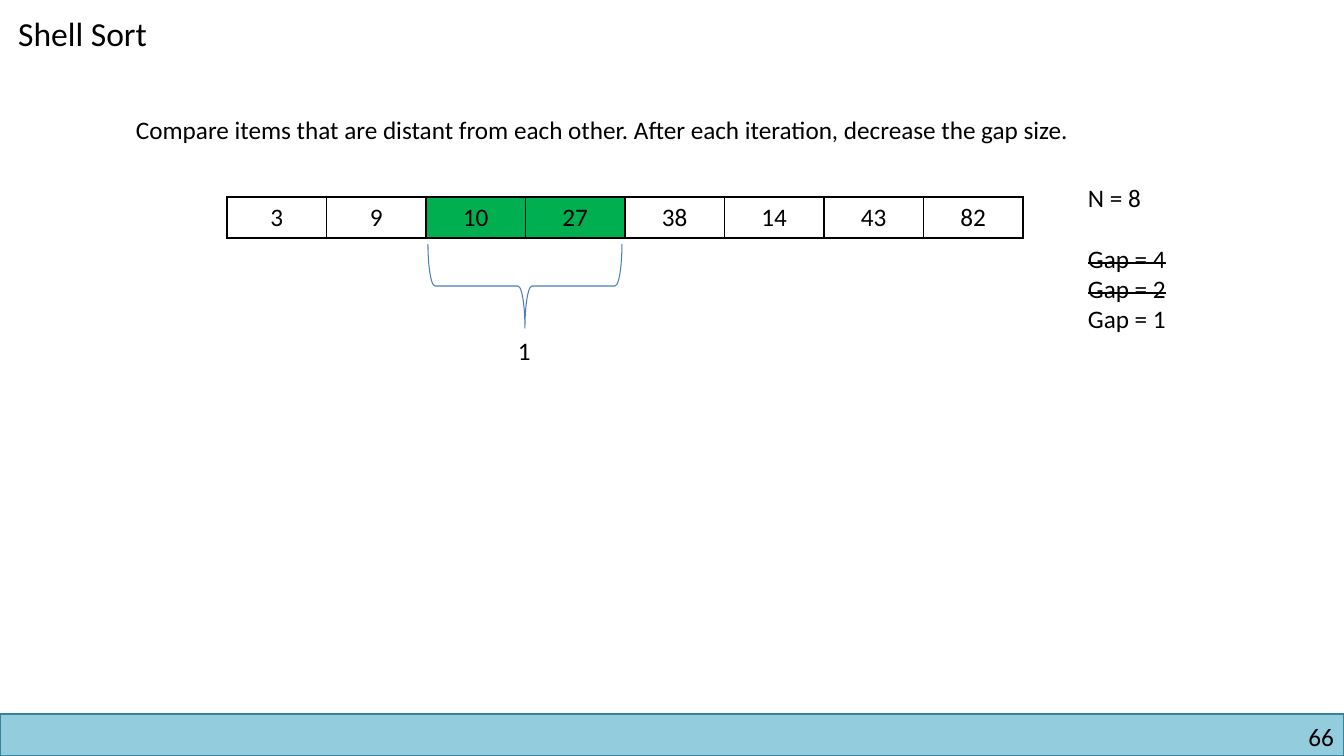
import pptx
import pptx.util
import pptx.dml.color
import pptx.enum.shapes
import pptx.enum.text
import pptx.oxml
import pptx.oxml.ns

BLACK = pptx.dml.color.RGBColor(0x00, 0x00, 0x00)
WHITE = pptx.dml.color.RGBColor(0xFF, 0xFF, 0xFF)
GREEN = pptx.dml.color.RGBColor(0x00, 0xB0, 0x50)
BAND_BLUE = pptx.dml.color.RGBColor(0x93, 0xCD, 0xDD)
BAND_EDGE = pptx.dml.color.RGBColor(0x31, 0x85, 0x9C)
BRACE_BLUE = pptx.dml.color.RGBColor(0x4B, 0x7E, 0xBC)
LEFT = pptx.enum.text.PP_ALIGN.LEFT
CENTER = pptx.enum.text.PP_ALIGN.CENTER
RIGHT = pptx.enum.text.PP_ALIGN.RIGHT


def px(*lengths):
    return [pptx.util.Emu(round(length * 914400 / 100.8)) for length in lengths]


def write(paragraph, text, size=18, align=LEFT, strike=False, before=0):
    paragraph.alignment = align
    if before:
        paragraph.space_before = pptx.util.Pt(before)
    run = paragraph.add_run()
    run.text = text
    run.font.name = "Calibri"
    run.font.size = pptx.util.Pt(size)
    run.font.color.rgb = BLACK
    if strike:
        run._r.get_or_add_rPr().set("strike", "sngStrike")


presentation = pptx.Presentation()
presentation.slide_width, presentation.slide_height = px(1344, 756)
slide = presentation.slides.add_slide(presentation.slide_layouts[5])
shapes = slide.shapes

title = shapes.title
title.left, title.top, title.width, title.height = px(8, 8, 167, 50)
title.text_frame.word_wrap = False
title.text_frame.auto_size = pptx.enum.text.MSO_AUTO_SIZE.NONE
title.text_frame.vertical_anchor = pptx.enum.text.MSO_ANCHOR.TOP
write(title.text_frame.paragraphs[0], "Shell Sort", size=24)

footer_band = shapes.add_shape(pptx.enum.shapes.MSO_SHAPE.RECTANGLE, *px(0, 714, 1344, 42))
footer_band.shadow.inherit = False
footer_band.fill.solid()
footer_band.fill.fore_color.rgb = BAND_BLUE
footer_band.line.color.rgb = BAND_EDGE
footer_band.line.width = pptx.util.Pt(1)

page_number = shapes.add_textbox(*px(1025, 721, 309, 30)).text_frame
page_number.margin_left = page_number.margin_right = 0
page_number.margin_top = page_number.margin_bottom = 0
page_number.word_wrap = True
write(page_number.paragraphs[0], "66", align=RIGHT)

explanation = shapes.add_textbox(*px(126, 109, 1044, 40)).text_frame
explanation.word_wrap = False
write(
    explanation.paragraphs[0],
    "Compare items that are distant from each other. After each iteration, decrease the gap size.",
)

items = [3, 9, 10, 27, 38, 14, 43, 82]
compared = [10, 27]
array_frame = shapes.add_table(1, len(items), *px(227, 197, 796, 41))
array = array_frame.table
array.first_row = array.horz_banding = False
for column, item in enumerate(items):
    array.columns[column].width = px(796)[0] // len(items)
    cell = array.cell(0, column)
    cell.vertical_anchor = pptx.enum.text.MSO_ANCHOR.TOP
    write(cell.text_frame.paragraphs[0], str(item), align=CENTER)
    properties = cell._tc.get_or_add_tcPr()
    for side in ("lnL", "lnR", "lnT", "lnB"):
        properties.append(pptx.oxml.parse_xml(
            f'<a:{side} {pptx.oxml.ns.nsdecls("a")} w="12700"><a:solidFill>'
            f'<a:srgbClr val="{BLACK}"/></a:solidFill></a:{side}>'
        ))
    cell.fill.solid()
    cell.fill.fore_color.rgb = GREEN if item in compared else WHITE

gaps = shapes.add_textbox(*px(1078, 177, 112, 163)).text_frame
gaps.word_wrap = False
write(gaps.paragraphs[0], "N = 8")
write(gaps.add_paragraph(), "Gap = 4", strike=True, before=22)
write(gaps.add_paragraph(), "Gap = 2", strike=True)
write(gaps.add_paragraph(), "Gap = 1")

gap_brace = shapes.add_shape(pptx.enum.shapes.MSO_SHAPE.LEFT_BRACE, *px(483, 189, 84, 194))
gap_brace.rotation = 270
gap_brace.shadow.inherit = False
gap_brace.fill.background()
gap_brace.line.color.rgb = BRACE_BLUE
gap_brace.line.width = pptx.util.Pt(0.75)

gap_size = shapes.add_textbox(*px(508, 330, 34, 40)).text_frame
gap_size.word_wrap = False
write(gap_size.paragraphs[0], "1")

presentation.save("out.pptx")
